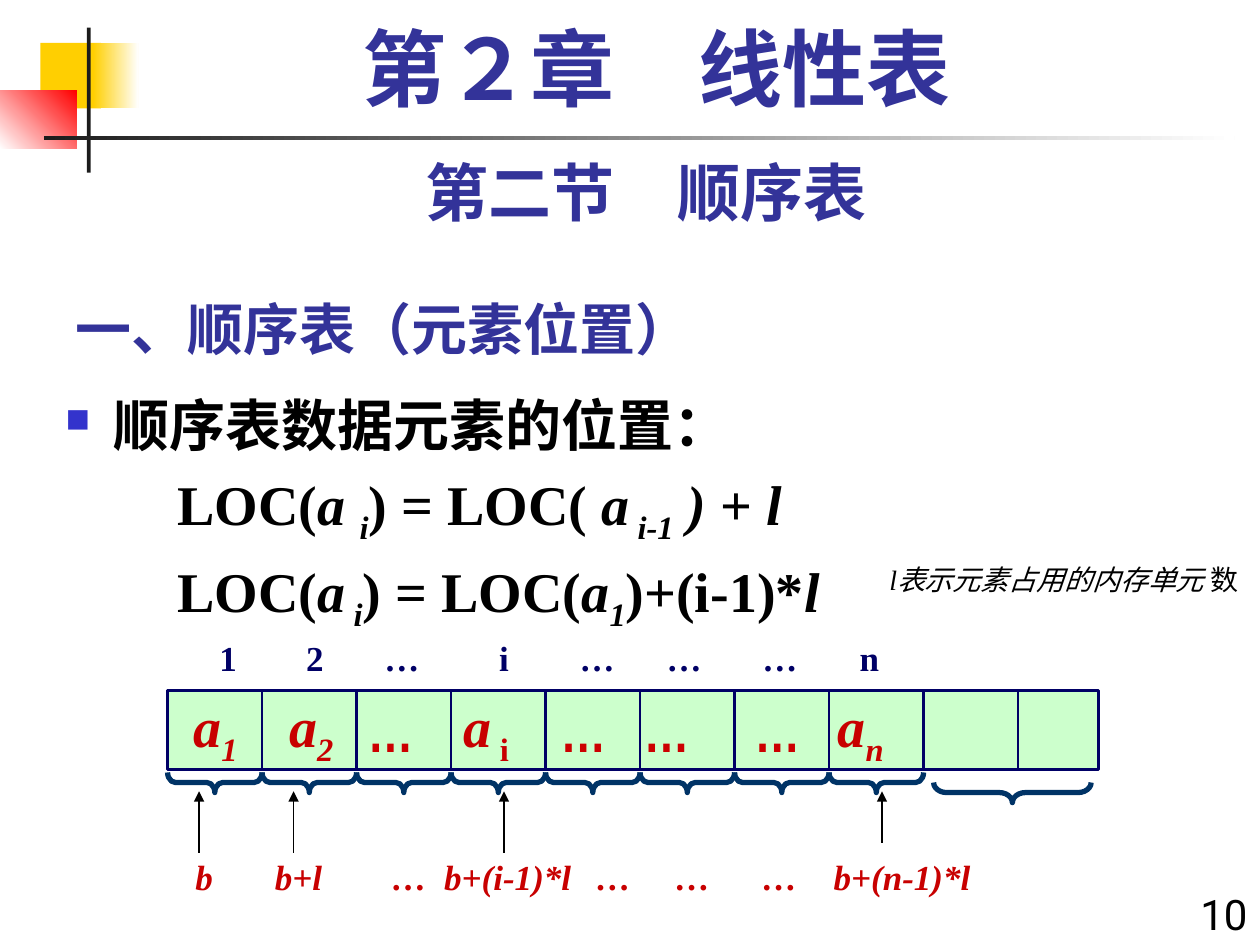
from lxml import etree
from pptx import Presentation
from pptx.dml.color import RGBColor
from pptx.enum.shapes import MSO_CONNECTOR, MSO_SHAPE
from pptx.enum.text import MSO_ANCHOR, PP_ALIGN
from pptx.oxml.ns import qn
from pptx.util import Inches, Pt

RECTANGLE, LEFT_BRACE = MSO_SHAPE.RECTANGLE, MSO_SHAPE.LEFT_BRACE
STRAIGHT = MSO_CONNECTOR.STRAIGHT
TOP, MIDDLE, BOTTOM = MSO_ANCHOR.TOP, MSO_ANCHOR.MIDDLE, MSO_ANCHOR.BOTTOM
LEFT, CENTER, RIGHT = PP_ALIGN.LEFT, PP_ALIGN.CENTER, PP_ALIGN.RIGHT
SERIF, NARROW, SANS, CHINESE = "Times New Roman", "Arial Narrow", "Roboto", "Noto Sans CJK SC"
INDIGO, NAVY, RED, BLACK = "333399", "000066", "C80000", "000000"
YELLOW, WHITE, CHARCOAL = "FFCF01", "FFFFFF", "1C1C1C"
CELL_WIDTH = 0.75

INDEXES = [("1", 1.81), ("2", 2.5), ("…", 3.19), ("i", 4), ("…", 4.74),
           ("…", 5.43), ("…", 6.19), ("n", 6.9)]
ELEMENTS = [("1", 1.71), ("2", 2.47), ("…", 3.1), (" i", 3.86), ("…", 4.63),
            ("…", 5.29), ("…", 6.17), ("n", 6.83)]
ADDRESSES = [("b", 1.62), ("b+l", 2.37), ("…", 3.25), ("b+(i-1)*l", 4.03), ("…", 4.87),
             ("…", 5.5), ("…", 6.19), ("b+(n-1)*l", 7.16)]
FORMULAS = [
    [("LOC(", ""), ("a ", "i"), ("i", "is"), (") = LOC(", ""), (" a", "i"),
     (" i-1", "is"), (" ) ", "i"), ("+ ", ""), ("l", "i")],
    [("LOC(", ""), ("a", "i"), (" i", "is"), (") = LOC(", ""), ("a", "i"),
     ("1", "is"), (")+(i-1)*", ""), ("l", "i")],
]


def color(value):
    """Turn a hex string into a colour."""
    return RGBColor.from_string(value)


def add_run(paragraph, text, size, font, fill, bold=True, style=""):
    """Add a run; the style holds i for italic and s for subscript."""
    run = paragraph.add_run()
    run.text = text
    run.font.size, run.font.name = Pt(size), font
    run.font.bold, run.font.italic = bold, "i" in style
    run.font.color.rgb = color(fill)
    properties = run.font._element
    etree.SubElement(properties, qn("a:ea")).set("typeface", CHINESE)
    if "s" in style:
        properties.set("baseline", "-25000")


def add_text_box(slide, box, align=LEFT, anchor=TOP, wrap=True):
    """Add an empty text box and return its first paragraph."""
    frame = slide.shapes.add_textbox(*map(Inches, box)).text_frame
    frame.word_wrap, frame.vertical_anchor = wrap, anchor
    frame.paragraphs[0].alignment = align
    return frame.paragraphs[0]


def add_rectangle(slide, box, fill, end=None, angle=0):
    """Add a borderless rectangle with a solid or two-colour fill."""
    shape = slide.shapes.add_shape(RECTANGLE, *map(Inches, box))
    shape.shadow.inherit = False
    shape.line.fill.background()
    if end is None:
        shape.fill.solid()
        shape.fill.fore_color.rgb = color(fill)
    else:
        shape.fill.gradient()
        shape.fill.gradient_angle = angle
        for stop, value, position in zip(shape.fill.gradient_stops, (fill, end), (0, 1)):
            stop.color.rgb, stop.position = color(value), position
    return shape


def add_line(slide, start, end, fill, width, arrow=False):
    """Add a straight line, with an arrowhead at its end if asked."""
    line = slide.shapes.add_connector(STRAIGHT, *map(Inches, (*start, *end)))
    line.line.color.rgb, line.line.width = color(fill), Pt(width)
    if arrow:
        etree.SubElement(line.line._get_or_add_ln(), qn("a:tailEnd")).set("type", "triangle")
    etree.SubElement(line._element.spPr, qn("a:effectLst"))


def add_brace(slide, left, top, width, curve):
    """Add a brace that opens upwards over the given width."""
    depth = 0.16
    box = (left + (width - depth) / 2, top - (width - depth) / 2, depth, width)
    brace = slide.shapes.add_shape(LEFT_BRACE, *map(Inches, box))
    brace.rotation, brace.shadow.inherit = 270, False
    brace.adjustments[0], brace.adjustments[1] = curve, 0.5
    brace.fill.background()
    brace.line.color.rgb, brace.line.width = color("003366"), Pt(3)


def add_decoration(slide, left, top):
    """Draw the coloured squares and the crossed bars."""
    add_rectangle(slide, (left + 0.32, top + 0.12, 0.48, 0.52), YELLOW)
    add_rectangle(slide, (left + 0.74, top + 0.12, 0.36, 0.52), YELLOW, WHITE)
    add_rectangle(slide, (left, top + 0.5, 0.61, 0.46), WHITE, "FF0000", 45)
    add_rectangle(slide, (left + 0.69, top, 0.03, 1.15), CHARCOAL)
    add_rectangle(slide, (left + 0.35, top + 0.86, 9.45, 0.03), CHARCOAL, WHITE)


def add_headings(slide):
    """Place the chapter, section and topic headings and the page number."""
    chapter = add_text_box(slide, (0.67, 0.17, 9.08, 0.83), CENTER)
    chapter.line_spacing = 0.9
    add_run(chapter, "第２章\u3000线性表".replace("\u3000", "　"), 48, SERIF, INDIGO)
    section = add_text_box(slide, (0.5, 1.17, 9.25, 0.7), CENTER)
    add_run(section, "第二节　顺序表", 36, SANS, INDIGO)
    topic = add_text_box(slide, (0.5, 2.17, 6.25, 0.75), anchor=BOTTOM)
    add_run(topic, "一、顺序表（元素位置）", 32, CHINESE, INDIGO)
    number = add_text_box(slide, (9.33, 7, 0.67, 0.5), RIGHT)
    add_run(number, "10", 24, SANS, BLACK, bold=False)


def add_body(slide, box):
    """Write the bulleted statement, its formulas and the side note."""
    statement = add_text_box(slide, box)
    statement.line_spacing = 1.1
    properties = statement._p.get_or_add_pPr()
    properties.set("marL", str(Inches(0.38)))
    properties.set("indent", str(-Inches(0.38)))
    bullet_color = etree.SubElement(properties, qn("a:buClr"))
    etree.SubElement(bullet_color, qn("a:srgbClr")).set("val", "3333CC")
    etree.SubElement(properties, qn("a:buSzPct")).set("val", "60000")
    etree.SubElement(properties, qn("a:buChar")).set("char", "■")
    add_run(statement, "顺序表数据元素的位置：", 32, CHINESE, BLACK)
    for formula in FORMULAS:
        paragraph = statement._parent.add_paragraph()
        paragraph.space_before = Pt(6.4)
        paragraph._p.get_or_add_pPr().set("marL", str(Inches(0.89)))
        for text, style in formula:
            add_run(paragraph, text, 32, SERIF, BLACK, style=style)
    note = add_text_box(slide, (box[0] + 6.54, box[1] + 1.4, 3, 0.4), anchor=MIDDLE, wrap=False)
    add_run(note, "l表示元素占用的内存单元", 16, SERIF, BLACK, False, "i")
    add_run(note, " 数", 16, SERIF, BLACK, False)


def add_labels(slide, labels, middle, fill, style=""):
    """Centre each label on its place in one row."""
    for text, center in labels:
        paragraph = add_text_box(slide, (center - 0.75, middle - 0.25, 1.5, 0.5), CENTER, MIDDLE)
        add_run(paragraph, text, 20, SERIF, fill, style=style)


def add_array(slide, left, top, width, height):
    """Draw the array with its cells, elements, braces and addresses."""
    bottom = top + height
    array = add_rectangle(slide, (left, top, width, height), "CCFFCC")
    array.line.color.rgb, array.line.width = color(NAVY), Pt(1.5)
    for index in range(1, 10):
        x = left + index * CELL_WIDTH
        add_line(slide, (x, top), (x, bottom), NAVY, 1.5)
    for text, center in ELEMENTS:
        box = (center - 0.5, top, 1, height)
        paragraph = add_text_box(slide, box, CENTER, MIDDLE)
        if text == "…":
            add_run(paragraph, text, 32, NARROW, "CC0000")
        else:
            add_run(paragraph, "a", 32, SERIF, RED, style="i")
            add_run(paragraph, text, 32, SERIF, RED, style="s" if text == " i" else "is")
    for index in range(8):
        add_brace(slide, left + index * CELL_WIDTH, bottom + 0.02, CELL_WIDTH, 0.39)
    add_brace(slide, left + 6.08, bottom + 0.1, 1.25, 0.65)
    for x, start in ((1.58, 6.77), (2.33, 6.77), (4, 6.77), (7, 6.69)):
        add_line(slide, (x, start), (x, bottom + 0.17), BLACK, 0.75, arrow=True)
    add_labels(slide, INDEXES, top - 0.26, NAVY)
    add_labels(slide, ADDRESSES, bottom + 0.85, RED, "i")


def main():
    """Build the slide and save it."""
    presentation = Presentation()
    presentation.slide_width, presentation.slide_height = Inches(10), Inches(7.5)
    slide = presentation.slides.add_slide(presentation.slide_layouts[6])
    add_decoration(slide, 0, 0.22)
    add_headings(slide)
    add_body(slide, (0.42, 3, 9.58, 1.9))
    add_array(slide, 1.33, 5.48, 7.39, 0.63)
    presentation.save("out.pptx")


if __name__ == "__main__":
    main()
